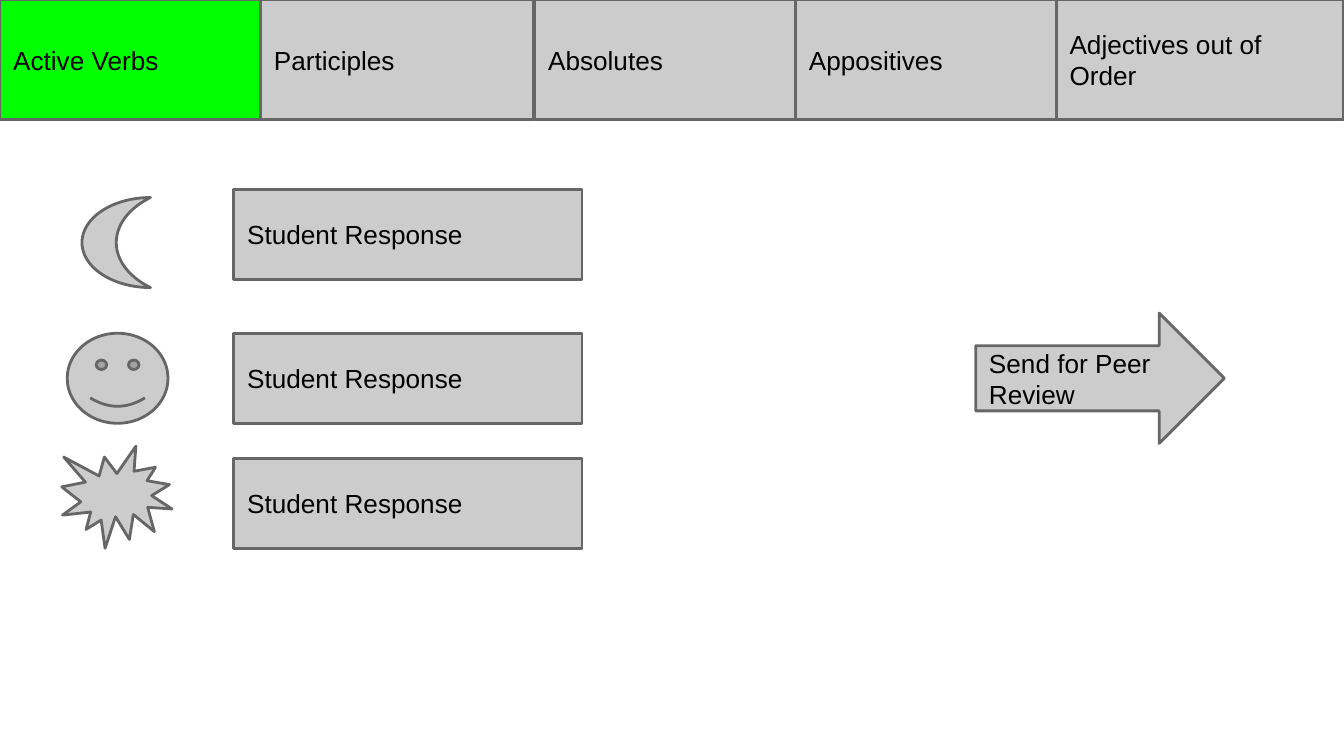
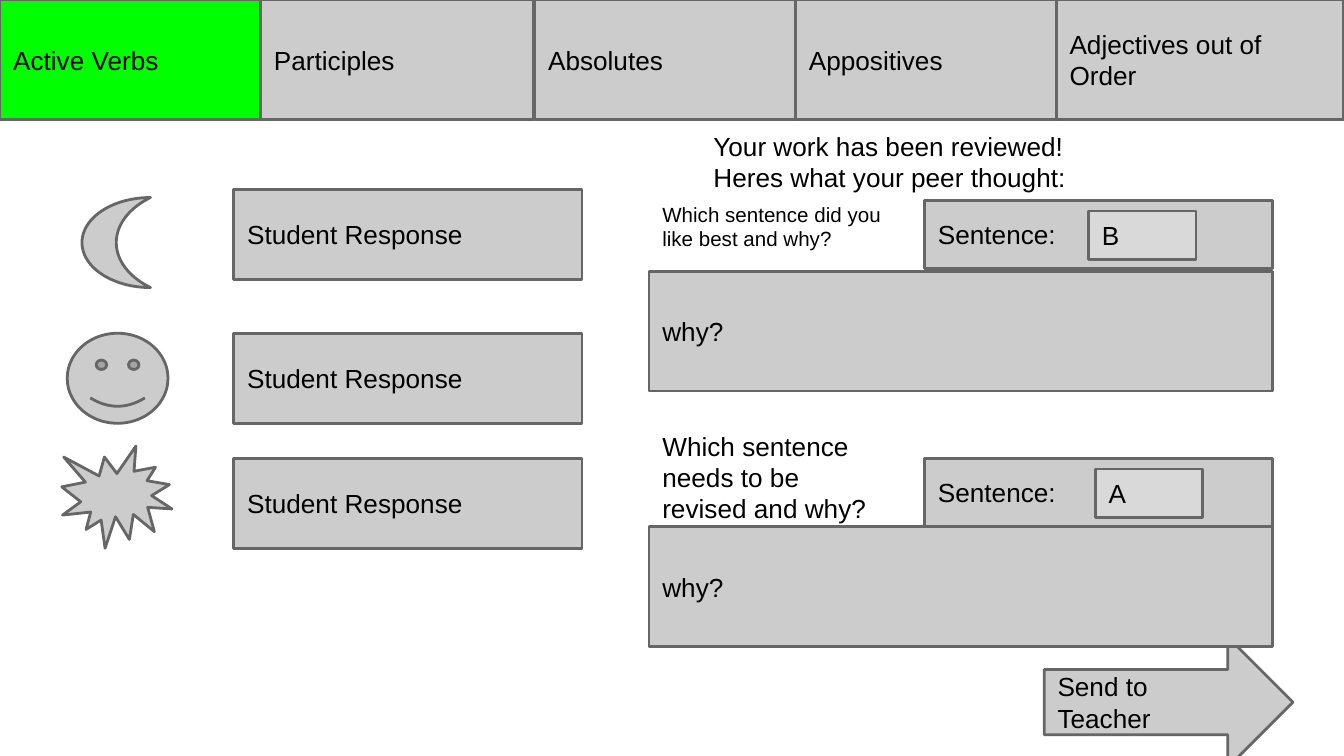
from pptx import Presentation
from pptx.dml.color import RGBColor
from pptx.enum.shapes import MSO_SHAPE
from pptx.enum.text import MSO_ANCHOR, PP_ALIGN
from pptx.util import Inches, Pt

GREEN = RGBColor(0x00, 0xFF, 0x00)
GREY = RGBColor(0xCC, 0xCC, 0xCC)
PALE_GREY = RGBColor(0xD9, 0xD9, 0xD9)
OUTLINE = RGBColor(0x66, 0x66, 0x66)
BLACK = RGBColor(0x00, 0x00, 0x00)

FRAME_FORMAT = {
    "word_wrap": True,
    "margin_left": Inches(0.1),
    "margin_top": Inches(0.1),
    "margin_right": Inches(0.1),
    "margin_bottom": Inches(0.1),
}
TABS = [
    ("Active Verbs", 0, 1.94),
    ("Participles", 1.94, 2.03),
    ("Absolutes", 3.98, 1.94),
    ("Appositives", 5.92, 1.94),
    ("Adjectives out of Order", 7.86, 2.14),
]
ICONS = [
    (MSO_SHAPE.MOON, 0.61, 1.47, 0.51, 0.67),
    (MSO_SHAPE.SMILEY_FACE, 0.5, 2.48, 0.75, 0.67),
    (MSO_SHAPE.EXPLOSION1, 0.46, 3.32, 0.82, 0.76),
]
RESPONSE_TOPS = [1.41, 2.48, 3.41]


def write_text(box, text, anchor, size=14):
    """Write one left-aligned paragraph into a box."""
    frame = box.text_frame
    for name, value in FRAME_FORMAT.items():
        setattr(frame, name, value)
    frame.vertical_anchor = anchor
    para = frame.paragraphs[0]
    para.alignment = PP_ALIGN.LEFT
    span = para.add_run()
    span.text = text
    font_format = {"name": "Arial", "size": Pt(size)}
    for name, value in font_format.items():
        setattr(span.font, name, value)
    span.font.color.rgb = BLACK


def add_figure(page, kind, left, top, width, height, text="", fill=GREY):
    """Add an outlined preset shape, with text if there is any."""
    figure = page.shapes.add_shape(
        kind, Inches(left), Inches(top), Inches(width), Inches(height))
    figure.shadow.inherit = False
    figure.fill.solid()
    figure.fill.fore_color.rgb = fill
    figure.line.color.rgb = OUTLINE
    figure.line.width = Pt(1.5)
    if text:
        write_text(figure, text, MSO_ANCHOR.MIDDLE)


def add_box(page, left, top, width, height, text, fill=GREY):
    """Add an outlined rectangle with text."""
    add_figure(page, MSO_SHAPE.RECTANGLE, left, top, width, height, text, fill)


def add_label(page, left, top, width, height, text, size=14):
    """Add plain text without fill or outline."""
    label = page.shapes.add_textbox(
        Inches(left), Inches(top), Inches(width), Inches(height))
    write_text(label, text, MSO_ANCHOR.TOP, size)


def add_send_arrow(page, left, top, text):
    """Add the arrow that sends the work onward."""
    add_figure(page, MSO_SHAPE.RIGHT_ARROW, left, top, 1.85, 0.97, text)


def add_exercise_page(deck, active_tab):
    """Add a page with the tab bar, the icons and the response boxes."""
    page = deck.slides.add_slide(deck.slide_layouts[6])
    for text, left, width in TABS:
        fill = GREEN if text == active_tab else GREY
        add_box(page, left, 0, width, 0.89, text, fill)
    for icon in ICONS:
        add_figure(page, *icon)
    for top in RESPONSE_TOPS:
        add_box(page, 1.74, top, 2.59, 0.67, "Student Response")
    return page


def add_peer_answer(page, sentence_top, why_top, choice_left, choice):
    """Add the reason box, the sentence box and the chosen letter."""
    add_box(page, 4.83, why_top, 4.64, 0.89, "why?")
    add_box(page, 6.88, sentence_top, 2.59, 0.51, "Sentence:")
    add_box(page, choice_left, sentence_top + 0.08, 0.8, 0.36, choice, PALE_GREY)


def main():
    """Build and save the deck."""
    deck = Presentation()
    deck.slide_width = Inches(10)
    deck.slide_height = deck.slide_width * 9 // 16

    response_page = add_exercise_page(deck, "Active Verbs")
    add_send_arrow(response_page, 7.26, 2.33, "Send for Peer Review")

    review_page = add_exercise_page(deck, "Active Verbs")
    add_send_arrow(review_page, 7.77, 4.74, "Send to Teacher")
    add_label(review_page, 5.21, 0.87, 3.04, 0.6,
              "Your work has been reviewed! Heres what your peer thought:")
    add_label(review_page, 4.83, 1.4, 1.94, 0.69,
              "Which sentence did you like best and why?", 11)
    add_label(review_page, 4.83, 3.1, 1.8, 0.82,
              "Which sentence needs to be revised and why?")
    add_peer_answer(review_page, 1.49, 2.02, 8.1, "B")
    add_peer_answer(review_page, 3.41, 3.92, 8.15, "A")

    deck.save("out.pptx")


if __name__ == "__main__":
    main()
